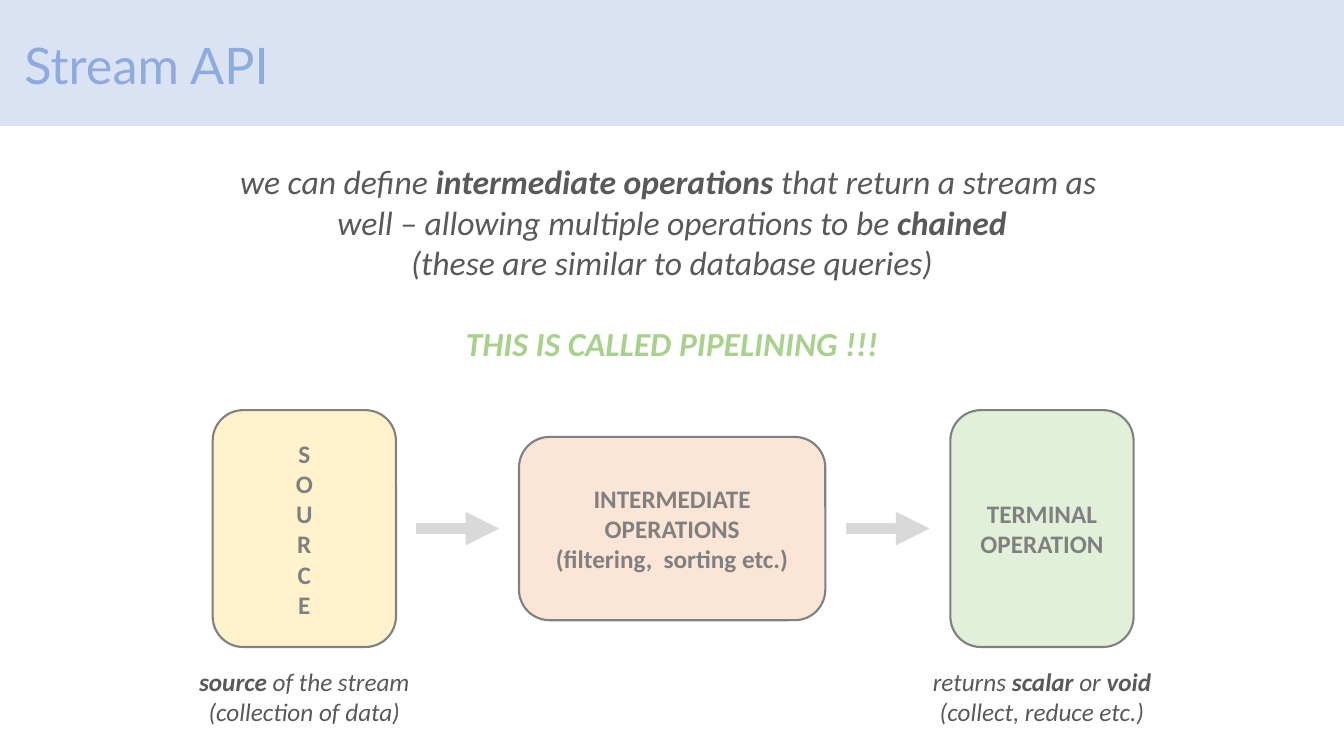
from lxml.etree import SubElement
from pptx import Presentation
from pptx.dml.color import RGBColor
from pptx.enum.shapes import MSO_CONNECTOR, MSO_SHAPE
from pptx.enum.text import MSO_ANCHOR, PP_ALIGN
from pptx.oxml.ns import qn
from pptx.util import Cm, Pt

BAND = RGBColor(0xDA, 0xE3, 0xF3)
BLUE = RGBColor(0x8F, 0xAA, 0xDC)
DARK = RGBColor(0x59, 0x59, 0x59)
GRAY = RGBColor(0x80, 0x80, 0x80)
PALE = RGBColor(0xD9, 0xD9, 0xD9)
LIME = RGBColor(0xA9, 0xD1, 0x8E)
CREAM = RGBColor(0xFF, 0xF2, 0xCC)
PEACH = RGBColor(0xFB, 0xE5, 0xD6)
MINT = RGBColor(0xE2, 0xF0, 0xD9)

# Content: asterisks enclose bold words
TITLE = "Stream API"
INTRO = [
    "we can define *intermediate operations *that return a stream as ",
    "well – allowing multiple operations to be *chained*",
    "(these are similar to database queries)",
]
CLAIM = "*THIS IS CALLED PIPELINING !!!*"
# Stages: left, width, height (cm), fill, label, caption
STAGES = [
    (5.36, 4.62, 5.97, CREAM, list("SOURCE"),
     ["*source* of the stream", "(collection of data)"]),
    (13.08, 7.72, 4.62, PEACH,
     ["INTERMEDIATE", "OPERATIONS", "(filtering,  sorting etc.)"], []),
    (23.95, 4.62, 5.97, MINT, ["TERMINAL", "OPERATION"],
     ["returns *scalar* or *void*", "(collect, reduce etc.)"]),
]
WIDE, HIGH = 33.87, 19.05
MID = 13.32      # centre line of the pipeline
ARROW = 2.1      # arrow length


def write(frame, lines, size=18, color=DARK, font="Calibri", bold=False,
          italic=False, align=PP_ALIGN.CENTER, before=0, more=False):
    """Fill a text frame, or extend it when more is set."""
    for num, line in enumerate(lines):
        para = frame.add_paragraph() if num or more else frame.paragraphs[0]
        para.alignment = align
        para.space_before = Pt(before)
        for pos, part in enumerate(line.split("*")):
            if part:
                run = para.add_run()
                run.text = part
                run.font.name = font
                run.font.size = Pt(size)
                run.font.bold = bold or pos % 2 == 1
                run.font.italic = italic
                run.font.color.rgb = color


def add_box(slide, kind, area, fill, edge, width):
    box = slide.shapes.add_shape(kind, *map(Cm, area))
    box.shadow.inherit = False
    box.fill.solid()
    box.fill.fore_color.rgb = fill
    box.line.color.rgb = edge
    box.line.width = Pt(width)
    return box


def add_text(slide, area):
    frame = slide.shapes.add_textbox(*map(Cm, area)).text_frame
    frame.word_wrap = True
    return frame


def add_arrow(slide, start, end):
    arrow = slide.shapes.add_connector(
        MSO_CONNECTOR.STRAIGHT, Cm(start), Cm(MID), Cm(end), Cm(MID))
    arrow.line.color.rgb = PALE
    arrow.line.width = Pt(8)
    SubElement(arrow.line._get_or_add_ln(), qn("a:tailEnd"), type="triangle")
    SubElement(arrow.element.spPr, qn("a:effectLst"))


def main():
    deck = Presentation()
    deck.slide_width, deck.slide_height = Cm(WIDE), Cm(HIGH)
    slide = deck.slides.add_slide(deck.slide_layouts[5])

    # Title on its band
    title = slide.shapes.title
    title.left, title.top = Cm(0.36), Cm(-0.23)
    title.width, title.height = Cm(29.21), Cm(3.68)
    title.text_frame.vertical_anchor = MSO_ANCHOR.MIDDLE
    write(title.text_frame, [TITLE], size=36, color=BLUE, font="Lato",
          align=PP_ALIGN.LEFT)
    band = add_box(slide, MSO_SHAPE.RECTANGLE, (0, 0, WIDE, 3.17),
                   BAND, BAND, 1)
    title.element.addprevious(band.element)

    # Introduction
    wide = 22.5
    frame = add_text(slide, ((WIDE - wide) / 2, 3.94, wide, 5.38))
    write(frame, INTRO, size=24, italic=True)
    write(frame, [CLAIM], size=24, italic=True, color=LIME, before=29,
          more=True)

    # Stages with captions
    for left, width, height, fill, label, notes in STAGES:
        area = (left, MID - height / 2, width, height)
        box = add_box(slide, MSO_SHAPE.ROUNDED_RECTANGLE, area,
                      fill, GRAY, 1.5)
        box.text_frame.vertical_anchor = MSO_ANCHOR.MIDDLE
        write(box.text_frame, label, color=GRAY, bold=True)
        if notes:
            span = 6.6
            frame = add_text(
                slide, (left + (width - span) / 2, 16.66, span, 1.8))
            write(frame, notes, italic=True)

    # Arrows centred in the gaps
    for one, two in zip(STAGES, STAGES[1:]):
        start = (one[0] + one[1] + two[0] - ARROW) / 2
        add_arrow(slide, start, start + ARROW)

    deck.save("out.pptx")


if __name__ == "__main__":
    main()
